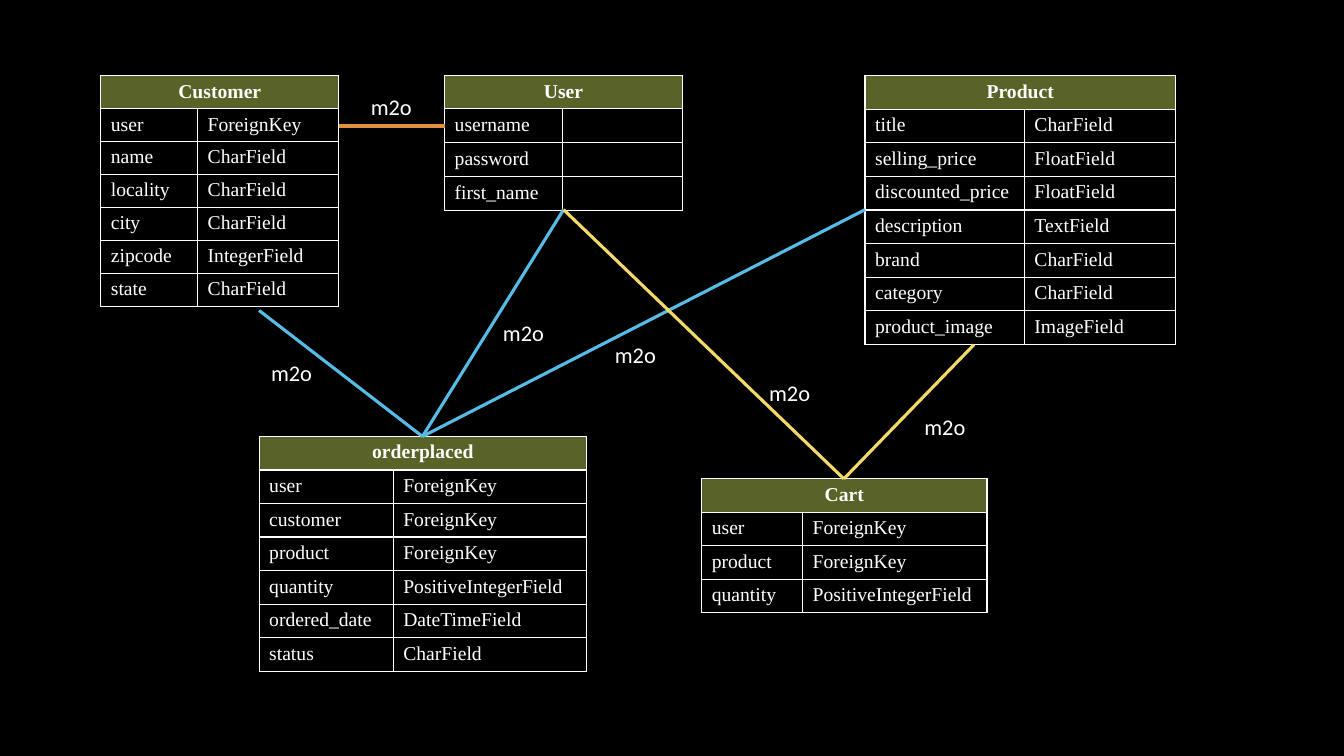
"""Draw the entity diagram of a shop's data models."""
from dataclasses import dataclass

from lxml.etree import SubElement
from pptx import Presentation
from pptx.dml.color import RGBColor
from pptx.enum.shapes import MSO_CONNECTOR
from pptx.enum.text import MSO_AUTO_SIZE, PP_ALIGN
from pptx.oxml.ns import qn
from pptx.slide import Slide
from pptx.table import _Cell
from pptx.text.text import _Paragraph
from pptx.util import Inches, Pt


@dataclass(frozen=True)
class Theme:
    """Colours, fonts and sizes of the diagram."""
    background: str = "000000"
    ink: str = "FFFFFF"
    header: str = "5A6327"
    customer_link: str = "DF9041"
    order_link: str = "57BCE5"
    cart_link: str = "F4D968"
    model_font: str = "Times New Roman"
    label_font: str = "Calibri"
    model_size: int = 14
    label_size: int = 16
    border: float = 1
    link_width: float = 2.25


@dataclass(frozen=True)
class Model:
    """A model table with its fields, in inches."""
    name: str
    left: float
    top: float
    height: float
    columns: tuple[float, float]
    fields: tuple[tuple[str, str], ...]


@dataclass(frozen=True)
class Relation:
    """A link between two models and the place of its label, in inches."""
    start: tuple[float, float]
    end: tuple[float, float]
    color: str
    label: tuple[float, float]


THEME = Theme()
USER_BOTTOM = (5.59, 2.08)
ORDER_TOP = (4.19, 4.33)
CART_TOP = (8.37, 4.75)

MODELS = (
    Model("Customer", 1, 0.75, 2.29, (0.96, 1.4), (
        ("user", "ForeignKey"), ("name", "CharField"), ("locality", "CharField"),
        ("city", "CharField"), ("zipcode", "IntegerField"), ("state", "CharField"))),
    Model("User", 4.41, 0.75, 1.31, (1.17, 1.19), (
        ("username", ""), ("password", ""), ("first_name", ""))),
    Model("Product", 8.58, 0.75, 2.67, (1.58, 1.5), (
        ("title", "CharField"), ("selling_price", "FloatField"),
        ("discounted_price", "FloatField"), ("description", "TextField"),
        ("brand", "CharField"), ("category", "CharField"),
        ("product_image", "ImageField"))),
    Model("Cart", 6.96, 4.75, 1.33, (1, 1.83), (
        ("user", "ForeignKey"), ("product", "ForeignKey"),
        ("quantity", "PositiveIntegerField"))),
    Model("orderplaced", 2.57, 4.33, 2.33, (1.33, 1.92), (
        ("user", "ForeignKey"), ("customer", "ForeignKey"), ("product", "ForeignKey"),
        ("quantity", "PositiveIntegerField"), ("ordered_date", "DateTimeField"),
        ("status", "CharField"))),
)

RELATIONS = (
    Relation((3.36, 1.25), (4.41, 1.25), THEME.customer_link, (3.58, 0.91)),
    Relation(USER_BOTTOM, ORDER_TOP, THEME.order_link, (4.89, 3.15)),
    Relation((2.57, 3.08), ORDER_TOP, THEME.order_link, (2.59, 3.54)),
    Relation((8.58, 2.08), ORDER_TOP, THEME.order_link, (6, 3.37)),
    Relation(USER_BOTTOM, CART_TOP, THEME.cart_link, (7.53, 3.74)),
    Relation((9.66, 3.42), CART_TOP, THEME.cart_link, (9.07, 4.08)),
)


def add_text(paragraph: _Paragraph, text: str, font: str, size: int,
             bold: bool = False) -> None:
    """Add one formatted run to a paragraph."""
    run = paragraph.add_run()
    run.text = text
    run.font.name = font
    run.font.size = Pt(size)
    run.font.bold = bold
    run.font.color.rgb = RGBColor.from_string(THEME.ink)


def format_cell(cell: _Cell, text: str, is_header: bool) -> None:
    """Fill, border and write one cell."""
    properties = cell._tc.get_or_add_tcPr()
    for side in ("a:lnL", "a:lnR", "a:lnT", "a:lnB"):
        border = SubElement(properties, qn(side), w=str(Pt(THEME.border)))
        SubElement(SubElement(border, qn("a:solidFill")), qn("a:srgbClr"), val=THEME.ink)
    if is_header:
        cell.fill.solid()
        cell.fill.fore_color.rgb = RGBColor.from_string(THEME.header)
    else:
        cell.fill.background()
    paragraph = cell.text_frame.paragraphs[0]
    if is_header:
        paragraph.alignment = PP_ALIGN.CENTER
    if text:
        add_text(paragraph, text, THEME.model_font, THEME.model_size, is_header)
    else:
        SubElement(paragraph._p, qn("a:endParaRPr"), sz=str(THEME.model_size * 100))


def add_model(slide: Slide, model: Model) -> None:
    """Draw a model as a table under a merged header."""
    rows = ((model.name, ""), *model.fields)
    table = slide.shapes.add_table(
        len(rows), 2, Inches(model.left), Inches(model.top),
        Inches(sum(model.columns)), Inches(model.height)).table
    table.horz_banding = False
    for column, width in zip(table.columns, model.columns):
        column.width = Inches(width)
    for row, texts in zip(table.rows, rows):
        row.height = Inches(model.height / len(rows))
        for cell, text in zip(row.cells, texts):
            format_cell(cell, text, texts is rows[0])
    table.cell(0, 0).merge(table.cell(0, 1))


def add_link(slide: Slide, relation: Relation) -> None:
    """Draw the line of a relation."""
    link = slide.shapes.add_connector(
        MSO_CONNECTOR.STRAIGHT, *map(Inches, relation.start + relation.end))
    link.line.color.rgb = RGBColor.from_string(relation.color)
    link.line.width = Pt(THEME.link_width)
    SubElement(link._element.spPr, qn("a:effectLst"))


def add_label(slide: Slide, relation: Relation) -> None:
    """Write the kind of a relation beside its line."""
    frame = slide.shapes.add_textbox(
        *map(Inches, relation.label), Inches(0.61), Inches(0.34)).text_frame
    frame.word_wrap = False
    frame.auto_size = MSO_AUTO_SIZE.SHAPE_TO_FIT_TEXT
    frame.paragraphs[0].line_spacing = 0.9
    add_text(frame.paragraphs[0], "m2o", THEME.label_font, THEME.label_size)


def main() -> None:
    """Build and save the slide."""
    deck = Presentation()
    deck.slide_width = Inches(13.33)
    deck.slide_height = Inches(7.5)
    slide = deck.slides.add_slide(deck.slide_layouts[6])
    slide.background.fill.solid()
    slide.background.fill.fore_color.rgb = RGBColor.from_string(THEME.background)
    for model in MODELS:
        add_model(slide, model)
    for relation in RELATIONS:
        add_link(slide, relation)
    for relation in RELATIONS:
        add_label(slide, relation)
    deck.save("out.pptx")


if __name__ == "__main__":
    main()
